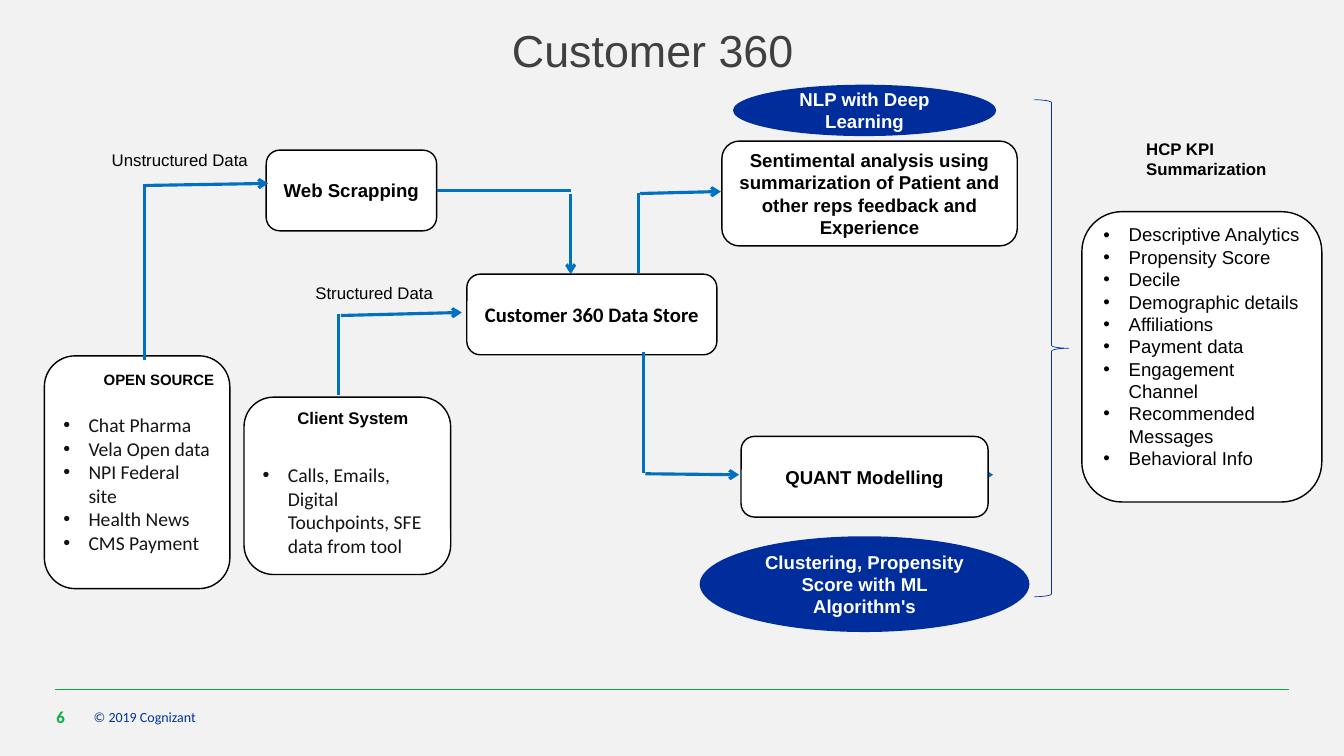
from lxml.etree import SubElement
from pptx import Presentation
from pptx.dml.color import RGBColor
from pptx.enum.shapes import MSO_CONNECTOR, MSO_SHAPE
from pptx.enum.text import MSO_ANCHOR, PP_ALIGN
from pptx.oxml.ns import qn
from pptx.util import Pt

PX = 9144  # EMU per px, 100 px to the inch
COLORS = {
    "page": "F2F2F2", "white": "FFFFFF", "black": "000000", "title": "404040",
    "item": "141414", "arrow": "0070C0", "oval": "002D9C", "brace": "0033B4",
    "footer": "0033A0", "green": "00B140",
}


def color(name):
    return RGBColor.from_string(COLORS[name])


def scaled(box):
    return [length * PX for length in box]


def set_margins(frame, left, top, right, bottom):
    frame.margin_left, frame.margin_top = left * PX, top * PX
    frame.margin_right, frame.margin_bottom = right * PX, bottom * PX


def style(para, size, ink="black", font="Arial", bold=False, align=PP_ALIGN.LEFT):
    para.alignment = align
    for span in para.runs:
        span.font.size = Pt(size)
        span.font.name = font
        span.font.bold = bold
        span.font.color.rgb = color(ink)


def add_label(page, box, text, size, margins=(10, 5, 10, 5),
              anchor=MSO_ANCHOR.TOP, **look):
    frame = page.shapes.add_textbox(*scaled(box)).text_frame
    frame.word_wrap = True
    frame.vertical_anchor = anchor
    set_margins(frame, *margins)
    frame.text = text
    style(frame.paragraphs[0], size, **look)
    return frame


def add_panel(page, kind, box, fill, line=None, weight=1):
    panel = page.shapes.add_shape(kind, *scaled(box))
    panel.shadow.inherit = False
    if fill:
        panel.fill.solid()
        panel.fill.fore_color.rgb = color(fill)
    else:
        panel.fill.background()
    if line:
        panel.line.color.rgb = color(line)
        panel.line.width = Pt(weight)
    else:
        panel.line.fill.background()
    return panel


def fill_caption(panel, text, size=13.3, ink="black", font="Arial"):
    frame = panel.text_frame
    frame.word_wrap = True
    frame.vertical_anchor = MSO_ANCHOR.MIDDLE
    set_margins(frame, 10, 5, 10, 5)
    frame.text = text
    style(frame.paragraphs[0], size, ink, font, True, PP_ALIGN.CENTER)


def add_step(page, box, text, **look):
    panel = add_panel(page, MSO_SHAPE.ROUNDED_RECTANGLE, box, "white", "black")
    fill_caption(panel, text, **look)


def add_oval(page, box, text):
    fill_caption(add_panel(page, MSO_SHAPE.OVAL, box, "oval"), text, ink="white")


def add_list(page, box, items, top, size, **look):
    """Rounded card whose bullets start at the given top margin."""
    panel = add_panel(page, MSO_SHAPE.ROUNDED_RECTANGLE, box, "white", "black")
    frame = panel.text_frame
    frame.word_wrap = True
    frame.vertical_anchor = MSO_ANCHOR.TOP
    set_margins(frame, 10, top, 10, 5)
    frame.text = "\n".join(items)
    for para in frame.paragraphs:
        props = para._p.get_or_add_pPr()
        props.set("marL", str(25 * PX))
        props.set("indent", str(-25 * PX))
        SubElement(props, qn("a:buFont")).set("typeface", "Arial")
        SubElement(props, qn("a:buChar")).set("char", "•")
        style(para, size, **look)


def add_line(page, ends, ink="arrow", weight=2.25, arrow=False):
    line = page.shapes.add_connector(MSO_CONNECTOR.STRAIGHT, *scaled(ends))
    line.line.color.rgb = color(ink)
    line.line.width = Pt(weight)
    if arrow:
        SubElement(line.line._get_or_add_ln(), qn("a:tailEnd")).set("type", "arrow")
    SubElement(line._element.spPr, qn("a:effectLst"))


def add_riser(page, x, start, end, tip):
    """Vertical line at x, then an arrow from its end to the tip."""
    add_line(page, (x, start, x, end))
    add_line(page, (x + 2, end + 1, *tip), arrow=True)


def add_source(page, box, heading, heading_at, heading_size, items, top):
    left, upper = box[:2]
    add_list(page, box, items, top, 14, ink="item", font="Calibri")
    add_label(page, (left + heading_at[0], upper + heading_at[1], 162, 30),
              heading, heading_size, bold=True)


def add_sources(page, left, top):
    add_source(page, (left, top, 184, 231), "OPEN SOURCE", (49, 10), 10.7,
               ["Chat Pharma", "Vela Open data", "NPI Federal site",
                "Health News", "CMS Payment"], 48)
    add_source(page, (left + 198, top + 41, 205, 176), "Client System", (43, 6), 12,
               ["Calls, Emails, Digital Touchpoints, SFE data from tool"], 57)


def add_pipeline(page, left, top):
    add_step(page, (left, top, 169, 80), "Web Scrapping")
    add_step(page, (left + 199, top + 123, 248, 80), "Customer 360 Data Store",
             size=14.7, font="Calibri")
    add_label(page, (left - 163, top - 5, 162, 30), "Unstructured Data", 12)
    add_label(page, (left + 39, top + 127, 162, 30), "Structured Data", 12)


def add_models(page, left, top):
    add_oval(page, (left + 33, top, 261, 51), "NLP with Deep Learning")
    add_step(page, (left + 22, top + 56, 293, 104),
             "Sentimental analysis using summarization of Patient and "
             "other reps feedback and Experience")
    add_line(page, (left + 91, top + 389, left + 291, top + 387), arrow=True)
    add_step(page, (left + 41, top + 349, 245, 80), "QUANT Modelling")
    add_oval(page, (left, top + 448, 327, 95),
             "Clustering, Propensity Score with ML Algorithm's")


def add_summary(page, left, top):
    add_panel(page, MSO_SHAPE.RIGHT_BRACE, (left, top, 34, 493), None, "brace", 0.5)
    add_label(page, (left + 101, top + 34, 183, 50), "HCP KPI Summarization",
              12, bold=True)
    add_list(page, (left + 47, top + 111, 238, 288),
             ["Descriptive Analytics", "Propensity Score", "Decile",
              "Demographic details", "Affiliations", "Payment data",
              "Engagement Channel", "Recommended Messages", "Behavioral Info"],
             0, 13.3)


def add_flow(page):
    add_riser(page, 143, 357, 183, (266, 182))
    add_riser(page, 336, 392, 312, (458, 310))
    add_riser(page, 633, 271, 191, (715, 190))
    add_riser(page, 638, 349, 469, (733, 471))
    add_line(page, (433, 189, 566, 189))
    add_line(page, (566, 192, 566, 272), arrow=True)


def add_frame(page):
    title = add_label(page, (36, 29, 1223, 55), "Customer 360", 32, (0, 0, 0, 0),
                      ink="title", align=PP_ALIGN.CENTER)
    title.paragraphs[0].line_spacing = 0.9
    add_line(page, (55, 684, 1278, 684), "green", 0.5)
    add_label(page, (93, 700, 667, 23), "© 2019 Cognizant", 10, (0, 0, 0, 0),
              MSO_ANCHOR.MIDDLE, ink="footer", font="Calibri")
    add_label(page, (56, 700, 33, 23), "6", 12, (0, 0, 0, 0),
              MSO_ANCHOR.MIDDLE, ink="green", font="Calibri", bold=True)


def main():
    deck = Presentation()
    deck.slide_width, deck.slide_height = scaled((1333, 750))
    page = deck.slides.add_slide(deck.slide_layouts[6])
    page.background.fill.solid()
    page.background.fill.fore_color.rgb = color("page")
    add_frame(page)
    add_sources(page, 44, 353)
    add_pipeline(page, 264, 149)
    add_models(page, 694, 84)
    add_summary(page, 1026, 99)
    add_flow(page)
    deck.save("out.pptx")


if __name__ == "__main__":
    main()
